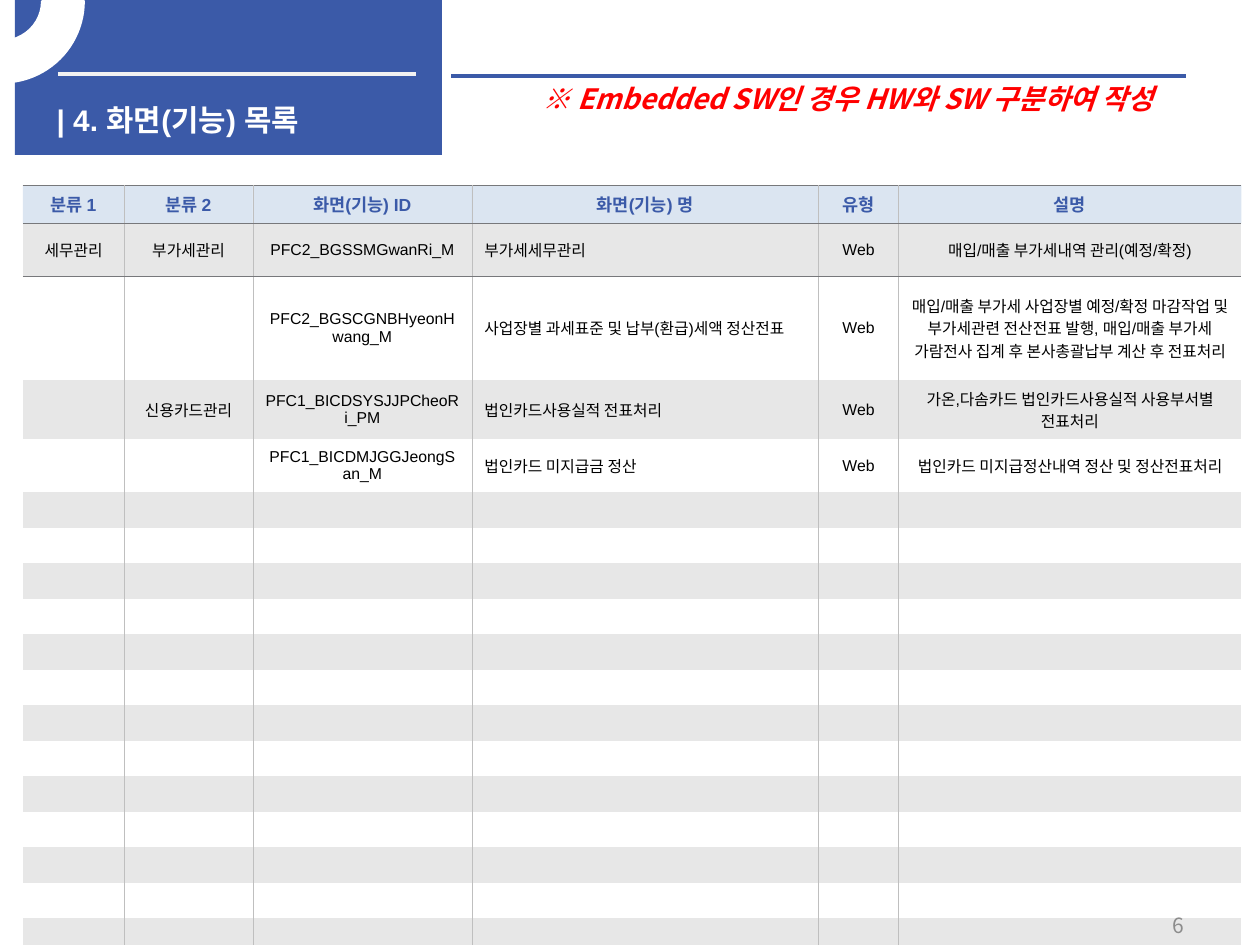
from lxml import etree
from pptx import Presentation
from pptx.dml.color import RGBColor
from pptx.enum.shapes import MSO_CONNECTOR, MSO_SHAPE
from pptx.enum.text import MSO_ANCHOR, MSO_AUTO_SIZE, PP_ALIGN
from pptx.oxml.ns import qn
from pptx.util import Pt

RECT, ARC = MSO_SHAPE.RECTANGLE, MSO_SHAPE.BLOCK_ARC
STRAIGHT = MSO_CONNECTOR.STRAIGHT
TOP, MIDDLE = MSO_ANCHOR.TOP, MSO_ANCHOR.MIDDLE
LEFT, CENTER, RIGHT = PP_ALIGN.LEFT, PP_ALIGN.CENTER, PP_ALIGN.RIGHT
FIXED = MSO_AUTO_SIZE.NONE

BLUE = RGBColor(0x3B, 0x5A, 0xA8)
PALE = RGBColor(0xB9, 0xCD, 0xE5)
WHITE = RGBColor(0xFF, 0xFF, 0xFF)
BAND = RGBColor(0xE7, 0xE7, 0xE7)
OFFWHITE = RGBColor(0xF2, 0xF2, 0xF2)
BLACK = RGBColor(0, 0, 0)
RED = RGBColor(0xFF, 0, 0)
GRAY = RGBColor(0x8C, 0x8C, 0x8C)
GRID = RGBColor(0xBF, 0xBF, 0xBF)
RULE = RGBColor(0x77, 0x78, 0x7B)

LATIN, KOREAN = "Arial", "Noto Sans CJK KR"
PLAIN_STYLE = "{2D5ABB26-0587-4C30-8999-92F81FD0307C}"

COLS = [58, 73.4, 125.2, 198.2, 45.6, 196]
HEIGHTS = [21.7, 30.3, 59.4, 33.7, 30.3] + [20.3] * 13
NAME_COL = 3
RULED_ROWS = (0, 1, len(HEIGHTS) - 1)
ROWS = [
    ["분류 1", "분류 2", "화면(기능) ID", "화면(기능) 명", "유형", "설명"],
    ["세무관리", "부가세관리", "PFC2_BGSSMGwanRi_M", "부가세세무관리", "Web",
     "매입/매출 부가세내역 관리(예정/확정)"],
    ["", "", "PFC2_BGSCGNBHyeonHwang_M",
     "사업장별 과세표준 및 납부(환급)세액 정산전표", "Web",
     "매입/매출 부가세 사업장별 예정/확정 마감작업 및 부가세관련 전산전표 발행, "
     "매입/매출 부가세 가람전사 집계 후 본사총괄납부 계산 후 전표처리"],
    ["", "신용카드관리", "PFC1_BICDSYSJJPCheoRi_PM",
     "법인카드사용실적 전표처리", "Web",
     "가온,다솜카드 법인카드사용실적 사용부서별 전표처리"],
    ["", "", "PFC1_BICDMJGGJeongSan_M", "법인카드 미지급금 정산", "Web",
     "법인카드 미지급정산내역 정산 및 정산전표처리"],
]


def write(frame, text, size, color, align=LEFT, face=LATIN, bold=False,
          italic=False):
    """Set one paragraph of text; return the paragraph."""
    frame.text = text
    para = frame.paragraphs[0]
    para.alignment = align
    for run in para.runs:
        font = run.font
        font.name, font.size = face, Pt(size)
        font.bold, font.italic = bold, italic
        font.color.rgb = color
        asian = etree.Element(qn("a:ea"), typeface=KOREAN)
        run._r.rPr.find(qn("a:latin")).addnext(asian)
    return para


def place(shape, left, top, width, height):
    shape.left, shape.top = Pt(left), Pt(top)
    shape.width, shape.height = Pt(width), Pt(height)


def add_shape(slide, kind, left, top, width, height, fill):
    shape = slide.shapes.add_shape(kind, Pt(left), Pt(top), Pt(width),
                                   Pt(height))
    shape.shadow.inherit = False
    shape.fill.solid()
    shape.fill.fore_color.rgb = fill
    shape.line.fill.background()
    return shape


def add_rule(slide, left, right, y, color):
    line = slide.shapes.add_connector(STRAIGHT, Pt(left), Pt(y), Pt(right),
                                      Pt(y))
    line.line.color.rgb = color
    line.line.width = Pt(2.25)
    etree.SubElement(line._element.spPr, qn("a:effectLst"))


def add_text(slide, left, top, width, height, anchor=TOP):
    box = slide.shapes.add_textbox(Pt(left), Pt(top), Pt(width), Pt(height))
    box.text_frame.word_wrap = True
    box.text_frame.vertical_anchor = anchor
    return box.text_frame


def add_arc(slide):
    """Draw the ring that hangs from the slide's top left corner."""
    arc = add_shape(slide, ARC, -45.4, -45.4, 92.9, 92.2, WHITE)
    arc.line.color.rgb = WHITE
    arc.line.width = Pt(2)
    for i, value in enumerate((96.95, 0, 0.25)):
        arc.adjustments[i] = value
    arc._element.spPr.find(qn("a:xfrm")).set("flipV", "1")


def set_edge(cell, side, color):
    edge = etree.SubElement(cell._tc.get_or_add_tcPr(), qn("a:ln" + side),
                            w=str(Pt(0.25)))
    fill = etree.SubElement(edge, qn("a:solidFill"))
    etree.SubElement(fill, qn("a:srgbClr"), val=str(color))


def style_cell(cell, row, col):
    """Draw the borders, then the fill, in the order the format asks for."""
    if col > 0:
        set_edge(cell, "L", GRID)
    if col < len(COLS) - 1:
        set_edge(cell, "R", GRID)
    if row < 2:
        set_edge(cell, "T", RULE)
    if row in RULED_ROWS:
        set_edge(cell, "B", RULE)
    cell.fill.solid()
    color = cell.fill.fore_color
    if row == 0:
        color.rgb = PALE
        tint = cell._tc.tcPr.find(qn("a:solidFill"))[0]
        etree.SubElement(tint, qn("a:alpha"), val="50000")
    else:
        color.rgb = BAND if row % 2 else WHITE
    cell.vertical_anchor = MIDDLE


def fill_cell(cell, text, row, col):
    head = row == 0
    align = LEFT if col == NAME_COL and not head else CENTER
    para = write(cell.text_frame, text, 10 if head else 9,
                 BLUE if head else BLACK, align, bold=head)
    para.space_before = Pt(2)
    if not text:
        etree.SubElement(para._p, qn("a:endParaRPr"), sz="900")


def add_list(slide):
    frame = slide.shapes.add_table(len(HEIGHTS), len(COLS), Pt(13), Pt(105.8),
                                   Pt(sum(COLS)), Pt(sum(HEIGHTS)))
    table = frame.table
    table._tbl.tblPr.find(qn("a:tableStyleId")).text = PLAIN_STYLE
    table.first_row = table.horz_banding = False
    for col, width in enumerate(COLS):
        table.columns[col].width = Pt(width)
    for row, height in enumerate(HEIGHTS):
        table.rows[row].height = Pt(height)
        texts = ROWS[row] if row < len(ROWS) else [""] * len(COLS)
        for col, text in enumerate(texts):
            cell = table.cell(row, col)
            style_cell(cell, row, col)
            fill_cell(cell, text, row, col)


def set_title(slide):
    title = slide.shapes.title
    place(title, 25.2, 54.7, 221, 23)
    frame = title.text_frame
    write(frame, "| 4. 화면(기능) 목록", 17, WHITE, bold=True)
    frame.vertical_anchor = TOP
    frame.auto_size = FIXED
    slide.shapes._spTree.append(title._element)  # in front of the blue panel


def main():
    prs = Presentation()
    prs.slide_width, prs.slide_height = Pt(720), Pt(540)
    slide = prs.slides.add_slide(prs.slide_layouts[5])
    add_list(slide)
    add_shape(slide, RECT, 8.6, 0, 244, 88.6, BLUE)
    add_rule(slide, 33.1, 237.6, 42.5, OFFWHITE)
    add_rule(slide, 257.8, 677.5, 43.2, BLUE)
    set_title(slide)
    add_arc(slide)
    note = write(add_text(slide, 303.1, 43.2, 402.5, 26.6),
                 "※ Embedded SW인 경우 HW와 SW 구분하여 작성", 16, RED,
                 face=KOREAN, bold=True, italic=True)
    indent = note._p.get_or_add_pPr()
    indent.set("marL", str(Pt(21)))
    indent.set("indent", str(Pt(-21)))
    write(add_text(slide, 516.2, 521.3, 167.8, 15.1, MIDDLE), "6", 12, GRAY,
          RIGHT, KOREAN)
    prs.save("out.pptx")


if __name__ == "__main__":
    main()
